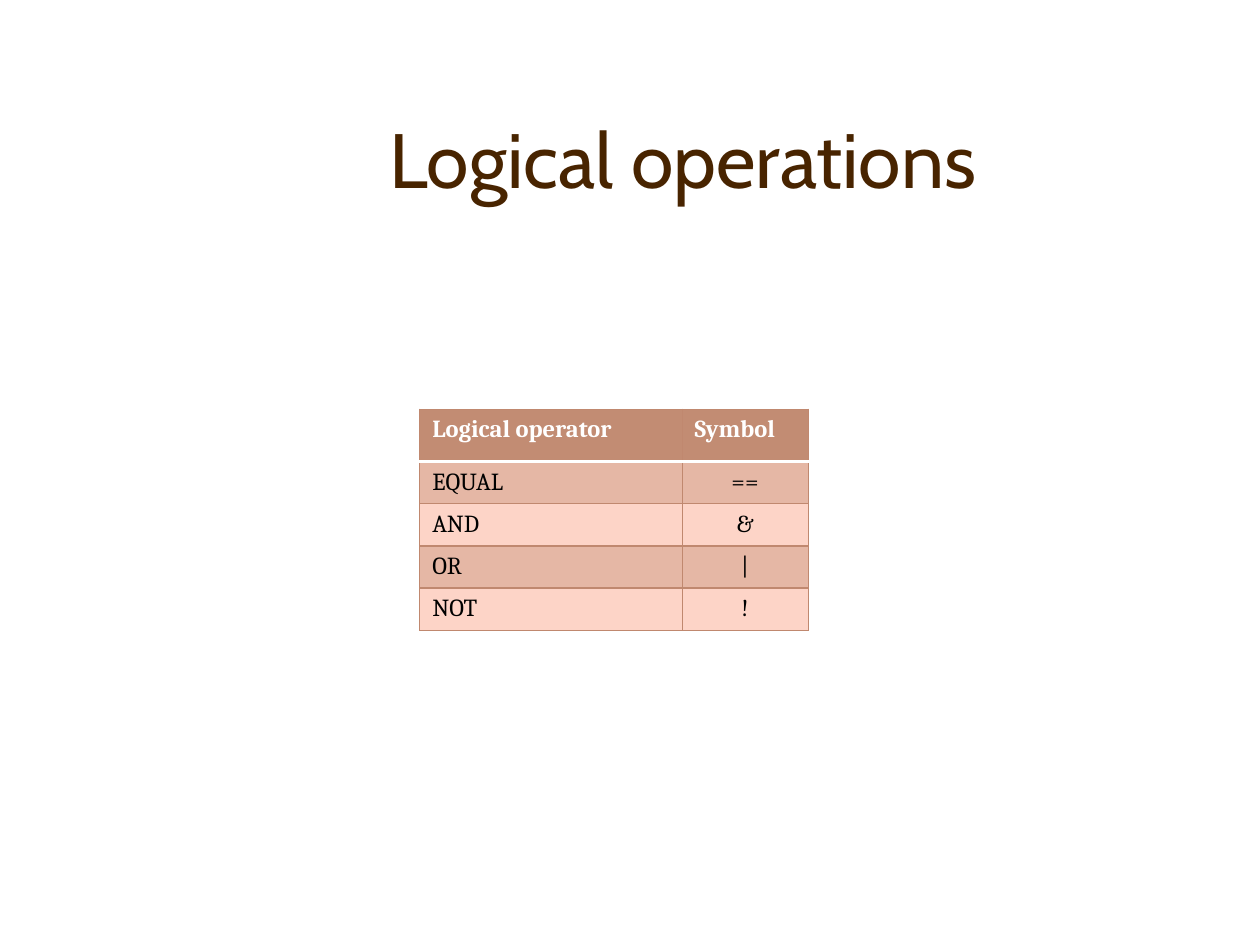
"""Build the slide on logical operators and their symbols."""
from lxml import etree
from pptx import Presentation
from pptx.dml.color import RGBColor
from pptx.enum.text import MSO_ANCHOR, PP_ALIGN
from pptx.oxml.ns import qn
from pptx.util import Cm, Pt

LEFT, CENTER = PP_ALIGN.LEFT, PP_ALIGN.CENTER
BOTTOM = MSO_ANCHOR.BOTTOM
BROWN = RGBColor(0x48, 0x24, 0x00)
WHITE = RGBColor(0xFF, 0xFF, 0xFF)
BLACK = RGBColor(0x00, 0x00, 0x00)
HEADER = RGBColor(0xC2, 0x8C, 0x73)
BORDER = RGBColor(0xC0, 0x88, 0x6F)
DARK_BAND = RGBColor(0xE5, 0xB7, 0xA5)
LIGHT_BAND = RGBColor(0xFD, 0xD4, 0xC7)

TITLE = "Logical operations"
OPERATORS = [
    ("Logical operator", "Symbol"),
    ("EQUAL", "=="),
    ("AND", "&"),
    ("OR", "|"),
    ("NOT", "!"),
]
COLUMN_WIDTHS = (Cm(5.29), Cm(2.54))
HEADER_HEIGHT, ROW_HEIGHT = Cm(1.06), Cm(0.71)


def write(frame, text, font, size, color, bold=False, align=LEFT):
    """Put one formatted paragraph into a text frame."""
    paragraph = frame.paragraphs[0]
    paragraph.alignment = align
    span = paragraph.add_run()
    span.text = text
    span.font.name = font
    span.font.size = Pt(size)
    span.font.bold = bold
    span.font.color.rgb = color


def draw_border(cell, side, color, width):
    """Add one solid border line to a table cell."""
    properties = cell._tc.get_or_add_tcPr()
    line = etree.SubElement(properties, qn(f"a:ln{side}"), w=str(Pt(width)))
    fill = etree.SubElement(line, qn("a:solidFill"))
    etree.SubElement(fill, qn("a:srgbClr"), val=str(color))


def add_title(page):
    """Add the slide title."""
    box = page.shapes.add_textbox(Cm(2.97), Cm(1.07), Cm(21.59), Cm(3.17))
    frame = box.text_frame
    frame.word_wrap = True
    frame.vertical_anchor = BOTTOM
    write(frame, TITLE, "Cabin", 44, BROWN, align=CENTER)


def add_operators(page):
    """Add the banded table of operators."""
    heights = [HEADER_HEIGHT] + [ROW_HEIGHT] * (len(OPERATORS) - 1)
    table = page.shapes.add_table(
        len(OPERATORS), len(COLUMN_WIDTHS), Cm(8.46), Cm(8.25),
        sum(COLUMN_WIDTHS), sum(heights)).table
    for column, width in zip(table.columns, COLUMN_WIDTHS):
        column.width = width
    for row_index, (height, texts) in enumerate(zip(heights, OPERATORS)):
        table.rows[row_index].height = height
        is_header = row_index == 0
        band = DARK_BAND if row_index % 2 else LIGHT_BAND
        white_sides = {0: "B", 1: "T"}.get(row_index, "")
        for column_index, text in enumerate(texts):
            cell = table.cell(row_index, column_index)
            for side in "LRTB":
                style = (WHITE, 2) if side in white_sides else (BORDER, 0.75)
                draw_border(cell, side, *style)
            cell.fill.solid()
            cell.fill.fore_color.rgb = HEADER if is_header else band
            write(cell.text_frame, text, "Cambria", 14,
                  WHITE if is_header else BLACK, bold=is_header,
                  align=CENTER if column_index and not is_header else LEFT)


def main():
    """Create and save the deck."""
    deck = Presentation()
    deck.slide_width, deck.slide_height = Cm(25.4), Cm(19.05)
    page = deck.slides.add_slide(deck.slide_layouts[6])
    add_title(page)
    add_operators(page)
    deck.save("out.pptx")


if __name__ == "__main__":
    main()
